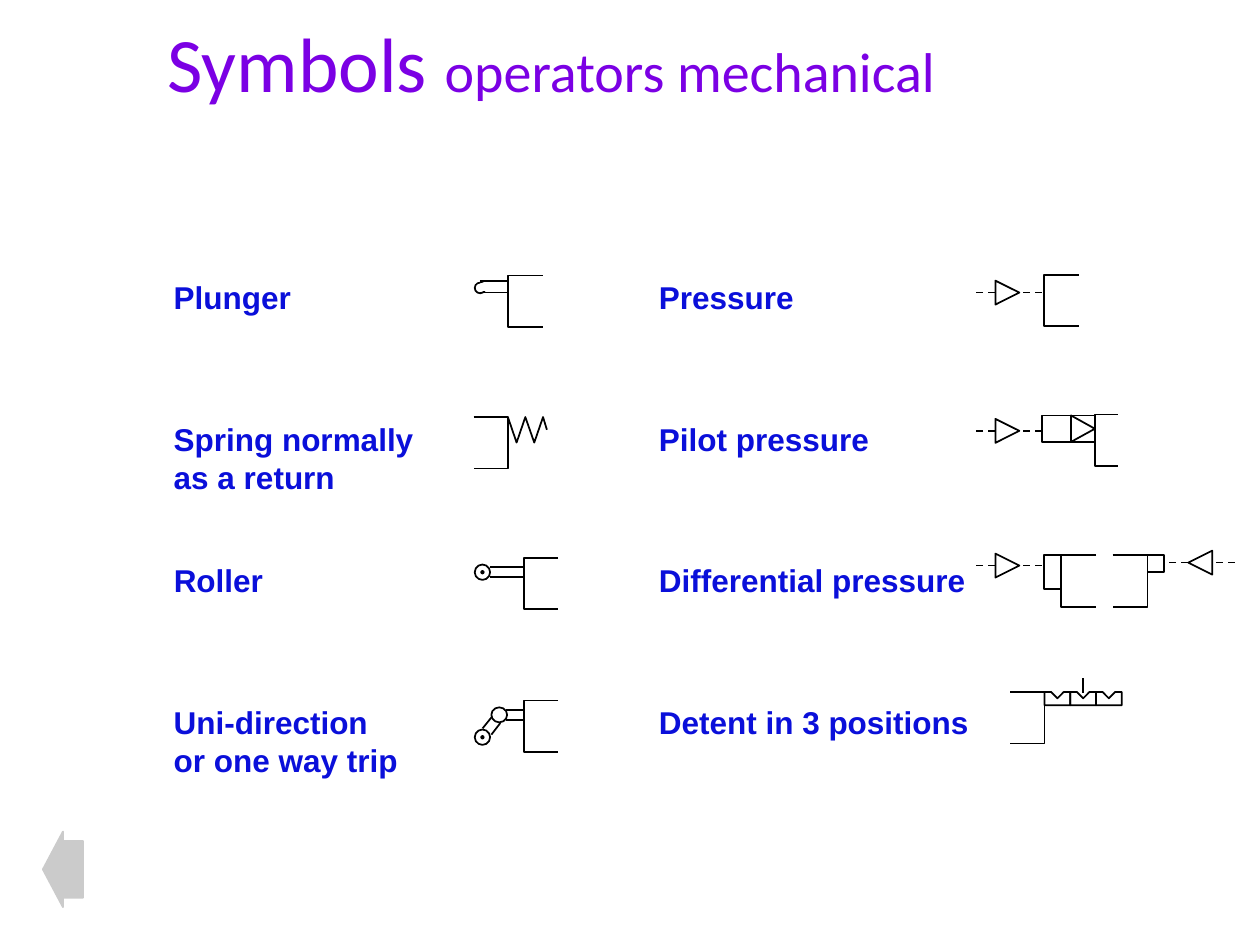
from dataclasses import dataclass

from lxml import etree
from pptx import Presentation
from pptx.dml.color import RGBColor
from pptx.enum.dml import MSO_LINE
from pptx.enum.shapes import MSO_CONNECTOR, MSO_SHAPE
from pptx.enum.text import MSO_ANCHOR, MSO_AUTO_SIZE
from pptx.oxml.ns import qn
from pptx.util import Pt

STRAIGHT = MSO_CONNECTOR.STRAIGHT
DASH = MSO_LINE.DASH
OVAL = MSO_SHAPE.OVAL
RECTANGLE = MSO_SHAPE.RECTANGLE
TRIANGLE = MSO_SHAPE.ISOSCELES_TRIANGLE
LEFT_ARROW = MSO_SHAPE.LEFT_ARROW
MIDDLE = MSO_ANCHOR.MIDDLE
FIT_SHAPE = MSO_AUTO_SIZE.SHAPE_TO_FIT_TEXT


@dataclass(frozen=True)
class Theme:
    title_color = RGBColor(0x7B, 0x00, 0xE4)
    label_color = RGBColor(0x0A, 0x0F, 0xDA)
    ink = RGBColor(0, 0, 0)
    paper = RGBColor(255, 255, 255)
    button = RGBColor(0xCB, 0xCB, 0xCB)
    title_font = "Calibri"
    label_font = "Arial"
    title_size = Pt(44)
    subtitle_size = Pt(32)
    label_size = Pt(18)
    stroke = Pt(1)


theme = Theme()
deck = Presentation()
deck.slide_width, deck.slide_height = Pt(720), Pt(540)
page = deck.slides.add_slide(deck.slide_layouts[6])


def style_shape(shape, line_color, fill_color=None):
    shape.shadow.inherit = False
    shape.line.color.rgb = line_color
    shape.line.width = theme.stroke
    if fill_color is None:
        shape.fill.background()
    else:
        shape.fill.solid()
        shape.fill.fore_color.rgb = fill_color


def draw_line(start_x, start_y, end_x, end_y, dash=None):
    ends = [Pt(value) for value in (start_x, start_y, end_x, end_y)]
    connector = page.shapes.add_connector(STRAIGHT, *ends)
    connector.line.color.rgb = theme.ink
    connector.line.width = theme.stroke
    if dash is not None:
        connector.line.dash_style = dash
    etree.SubElement(connector._element.spPr, qn("a:effectLst"))


box = page.shapes.add_textbox(Pt(88.6), Pt(-13.7), Pt(621.4), Pt(104.4))
box.text_frame.word_wrap = True
box.text_frame.vertical_anchor = MIDDLE
para = box.text_frame.paragraphs[0]
para.line_spacing = 0.9
para.font.name = theme.title_font
para.font.color.rgb = theme.title_color
for text, size in (
    ("Symbols ", theme.title_size),
    ("operators mechanical", theme.subtitle_size),
):
    span = para.add_run()
    span.text = text
    span.font.size = size

label_columns = [
    (92.2, [
        ("Plunger", 81.4, 1),
        ("Spring normally as a return", 160.6, 2),
        ("Roller", 65.5, 1),
        ("Uni-direction or one way trip", 144, 2),
    ]),
    (369.5, [
        ("Pressure", 91.4, 1),
        ("Pilot pressure", 134.6, 1),
        ("Differential pressure", 194.4, 1),
        ("Detent in 3 positions", 191.5, 1),
    ]),
]
for left, labels in label_columns:
    for row, (text, width, line_count) in enumerate(labels):
        box = page.shapes.add_textbox(
            Pt(left), Pt(155.5 + 80.9 * row), Pt(width), Pt(7.2 + 21.6 * line_count)
        )
        box.text_frame.word_wrap = line_count > 1
        box.text_frame.auto_size = FIT_SHAPE
        para = box.text_frame.paragraphs[0]
        para.text = text
        para.font.name = theme.label_font
        para.font.size = theme.label_size
        para.font.bold = True
        para.font.color.rgb = theme.label_color

outlines = [
    [(290.2, 238.3), (295.2, 252.9), (300.2, 238.3), (305.3, 252.9), (310.3, 238.3), (312.5, 245.6)],
    [(606.2, 317.3), (596.6, 317.3), (596.6, 336.7), (606.2, 336.7)],
    [(655.7, 317.3), (665.3, 317.3), (665.3, 327), (655.7, 327)],
    [(612, 252.5), (612, 237.4), (625.7, 245), (612, 252.5)],
    [(625.7, 237.4), (595.4, 237.4), (595.4, 252.5), (625.7, 252.5), (625.7, 237.4)],
]
valve_ends = [
    (310, 290.2, 157.5),
    (270.7, 290.2, 238.3),
    (319, 299.5, 318.8),
    (319, 299.5, 400.3),
    (616.5, 596.7, 157),
    (638.6, 625.7, 236.8),
    (626.4, 606.2, 317.3),
    (635.8, 655.7, 317.3),
    (577.4, 596.9, 395.4),
]
for open_x, wall_x, top in valve_ends:
    bottom = top + 29.4
    outlines.append([(open_x, top), (wall_x, top), (wall_x, bottom), (open_x, bottom)])
for notch in range(3):
    left = 596.9 + 14.7 * notch
    outlines.append([
        (left, 395.4), (left + 3.7, 395.4), (left + 7.35, 399.1), (left + 11, 395.4),
        (left + 14.7, 395.4), (left + 14.7, 403), (left, 403), (left, 395.4),
    ])
for outline in outlines:
    points = [(Pt(x), Pt(y)) for x, y in outline]
    builder = page.shapes.build_freeform(*points[0], scale=1.0)
    builder.add_line_segments(points[1:], close=False)
    style_shape(builder.convert_to_shape(), theme.ink)

symbol_parts = [
    (OVAL, 271.3, 161.5, 6.1, 6.1, theme.ink, None),
    (RECTANGLE, 275, 162.2, 5.8, 3.6, theme.paper, theme.paper),
    (OVAL, 280.8, 404.2, 9, 8.6, theme.ink, None),
]
for top in (322.6, 416.9):
    symbol_parts.append((OVAL, 271.3, top, 8.8, 8.8, theme.ink, None))
    symbol_parts.append((OVAL, 275, top + 3.7, 1.4, 1.4, theme.ink, theme.ink))
for kind, left, top, width, height, line_color, fill_color in symbol_parts:
    shape = page.shapes.add_shape(kind, Pt(left), Pt(top), Pt(width), Pt(height))
    style_shape(shape, line_color, fill_color)

pressure_inputs = [
    (557.2, 568.8, 167.2, 90),
    (557.2, 568.8, 246.2, 90),
    (557.2, 568.8, 323.2, 90),
    (668.8, 679, 321.5, 270),
]
for line_left, triangle_left, middle, rotation in pressure_inputs:
    triangle = page.shapes.add_shape(
        TRIANGLE, Pt(triangle_left), Pt(middle - 6.85), Pt(13.7), Pt(13.7)
    )
    triangle.rotation = rotation
    style_shape(triangle, theme.ink)
    for near, far in (
        (triangle_left, triangle_left - 12.7),
        (triangle_left + 26.6, triangle_left + 13.8),
    ):
        draw_line(near, middle, far, middle, DASH)

for segment in (
    (274.3, 160.7, 290.2, 160.7),
    (274.3, 167.2, 290.2, 167.2),
    (280, 324.1, 299.5, 324.1),
    (280, 329.8, 299.5, 329.8),
    (289.4, 405.6, 299.2, 405.6),
    (289.4, 411.6, 299.2, 411.6),
    (275.8, 416.2, 281.2, 409.5),
    (280.8, 419.8, 285.9, 413.2),
    (618.9, 396, 618.9, 387.4),
):
    draw_line(*segment)

arrow = page.shapes.add_shape(LEFT_ARROW, Pt(24.5), Pt(475.2), Pt(23), Pt(43.2))
arrow.adjustments[0] = 0.75
arrow.adjustments[1] = 0.5
style_shape(arrow, theme.button, theme.button)

deck.save("out.pptx")
